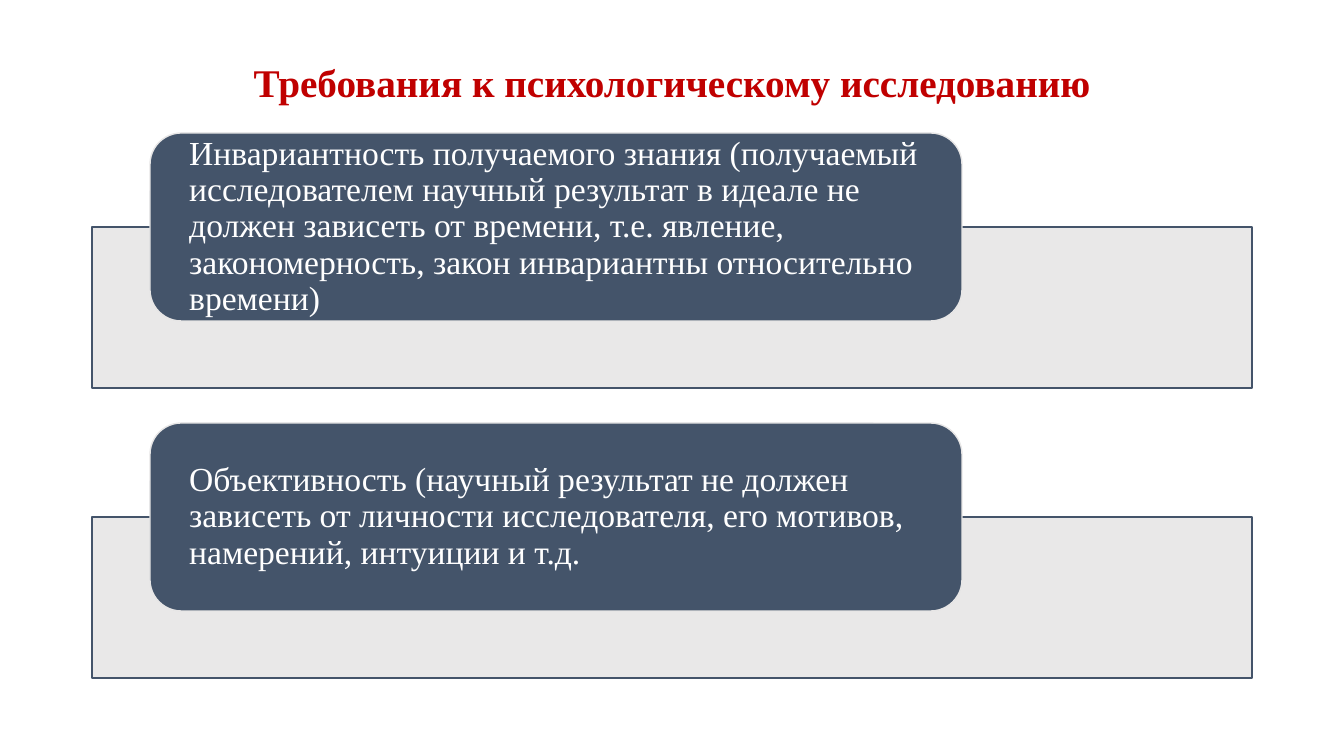
from lxml import etree
from pptx import Presentation
from pptx.dml.color import RGBColor
from pptx.enum.shapes import MSO_SHAPE
from pptx.enum.text import MSO_ANCHOR, MSO_AUTO_SIZE, PP_ALIGN
from pptx.oxml.ns import qn
from pptx.util import Pt

RECTANGLE = MSO_SHAPE.RECTANGLE
ROUNDED = MSO_SHAPE.ROUNDED_RECTANGLE
MIDDLE = MSO_ANCHOR.MIDDLE
NO_AUTOFIT = MSO_AUTO_SIZE.NONE
LEFT, CENTER = PP_ALIGN.LEFT, PP_ALIGN.CENTER

EMU_PER_PX = 914400 / 100.8
FONT = "Times New Roman"
COLORS = {"title": "C00000", "slate": "44546A", "light": "E7E6E6", "white": "FFFFFF"}

TITLE = "Требования к психологическому исследованию"
REQUIREMENTS = [
    "Инвариантность получаемого знания (получаемый исследователем научный "
    "результат в идеале не должен зависеть от времени, т.е. явление, "
    "закономерность, закон инвариантны относительно времени)",
    "Объективность (научный результат не должен зависеть от личности "
    "исследователя, его мотивов, намерений, интуиции и т.д.",
]


def px(length):
    return round(length * EMU_PER_PX)


def color(name):
    return RGBColor.from_string(COLORS[name])


def write_text(shape, text, size, font_color, align=LEFT, bold=False, margins=(10, 5)):
    frame = shape.text_frame
    frame.word_wrap = True
    frame.auto_size = NO_AUTOFIT
    frame.vertical_anchor = MIDDLE
    frame.margin_left = frame.margin_right = px(margins[0])
    frame.margin_top = frame.margin_bottom = px(margins[1])
    para = frame.paragraphs[0]
    para.alignment = align
    para.line_spacing = 0.9
    span = para.add_run()
    span.text = text
    span.font.name = FONT
    span.font.size = Pt(size)
    span.font.bold = bold
    span.font.color.rgb = color(font_color)


def add_panel(page, kind, box, fill, line, opacity=100):
    panel = page.shapes.add_shape(kind, *map(px, box))
    panel.shadow.inherit = False
    panel.fill.solid()
    panel.fill.fore_color.rgb = color(fill)
    panel.line.color.rgb = color(line)
    panel.line.width = Pt(1)
    if opacity < 100:
        fill_color = panel.fill._xPr.find(qn("a:solidFill"))[0]
        etree.SubElement(fill_color, qn("a:alpha")).set("val", str(opacity * 1000))
    return panel


def place_title(page, box, text):
    title = page.shapes.title
    title.left, title.top, title.width, title.height = map(px, box)
    write_text(title, text, 28, "title", align=CENTER, bold=True)


def add_requirement(page, box, text):
    left, top, width, height = box
    add_panel(page, RECTANGLE, (left, top + 94, width, height - 94), "light", "slate", opacity=90)
    label = add_panel(page, ROUNDED, (left + 58, top, width * 7 // 10, 188), "slate", "light")
    write_text(label, text, 24, "white", margins=(30, 0))


def main():
    deck = Presentation()
    deck.slide_width, deck.slide_height = px(1344), px(756)
    page = deck.slides.add_slide(deck.slide_layouts[5])
    place_title(page, (92, 40, 1160, 89), TITLE)
    for index, text in enumerate(REQUIREMENTS):
        add_requirement(page, (92, 133 + 290 * index, 1160, 255), text)
    deck.save("out.pptx")


if __name__ == "__main__":
    main()
